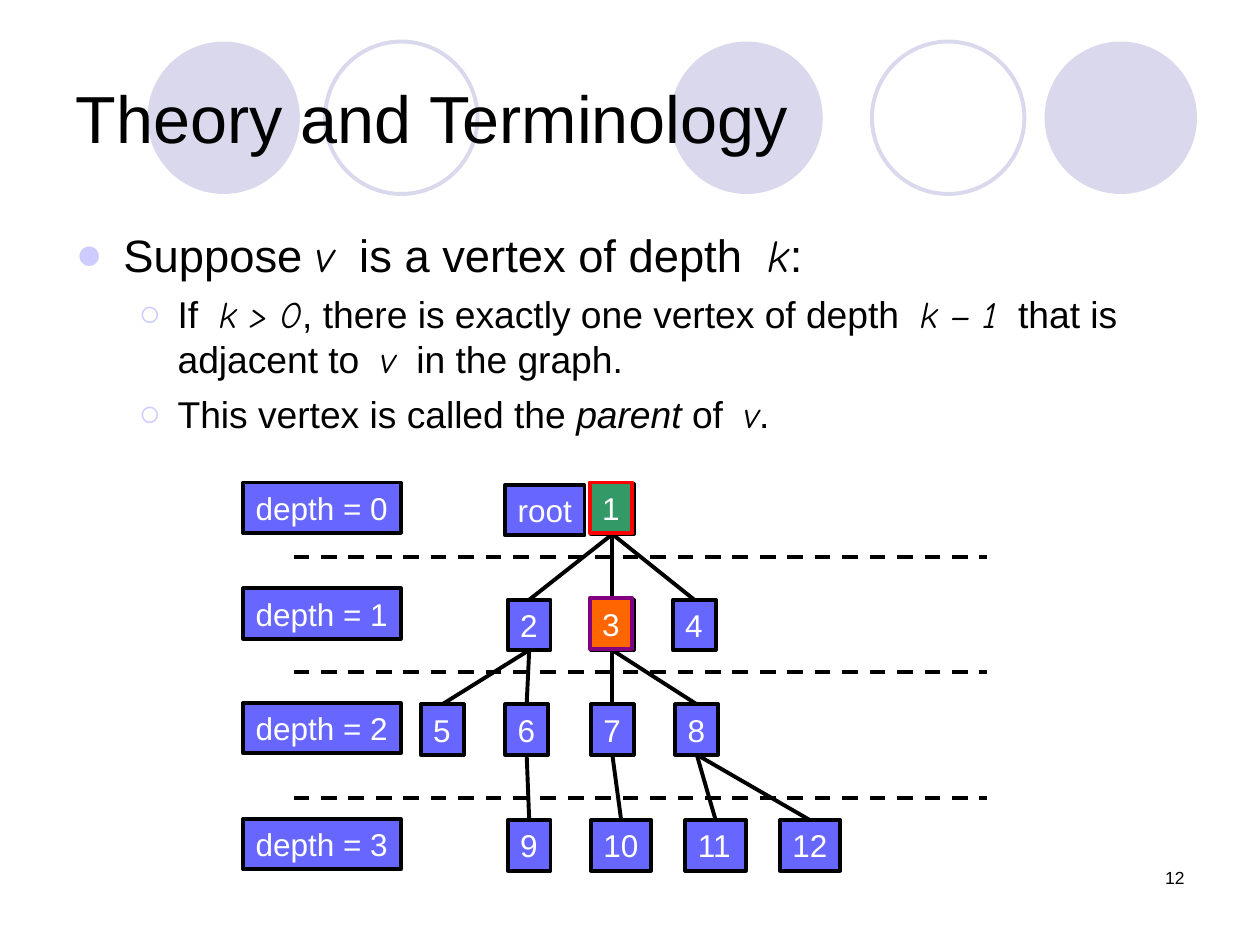
from lxml.etree import SubElement
from pptx import Presentation
from pptx.dml.color import RGBColor
from pptx.enum.dml import MSO_LINE
from pptx.enum.shapes import MSO_CONNECTOR, MSO_SHAPE
from pptx.enum.text import MSO_ANCHOR, MSO_AUTO_SIZE, PP_ALIGN
from pptx.oxml.ns import qn
from pptx.util import Inches, Pt

BLACK, WHITE, LILAC, BLUE = "000000", "FFFFFF", "D9D8EC", "6767FF"
BULLET = "CCCCFF"
BOX_HEIGHT = 0.4
NODE_WIDTHS = {1: 0.34, 2: 0.48}

BODY = [
    (0, [("Suppose ", ""), ("v", "math"), ("  is a vertex of depth  ", ""), ("k", "math"), (":", "")]),
    (1, [("If  ", ""), ("k > 0", "math"), (", there is exactly one vertex of depth  ", ""),
         ("k – 1", "math"), ("  that is adjacent to  ", ""), ("v", "math"), ("  in the graph.", "")]),
    (1, [("This vertex is called the ", ""), ("parent", "italic"), (" of  ", ""), ("v", "math"), (".", "")]),
]
LEVELS = [("●", 25.9, 0.38, 0.38, 0), ("○", 21.3, 0.81, 0.31, 5.8)]

TREE_ROWS = [
    (0.01, {"1": 2.76}),
    (0.93, {"2": 2.10, "3": 2.76, "4": 3.41}),
    (1.76, {"5": 1.41, "6": 2.08, "7": 2.76, "8": 3.43}),
    (2.68, {"9": 2.10, "10": 2.76, "11": 3.51, "12": 4.26}),
]
CHILDREN = {"1": "2 3 4", "2": "5 6", "3": "7 8", "6": "9", "7": "10", "8": "11 12"}
DEPTH_TOPS = [0, 0.84, 1.75, 2.67]
DIVIDER_TOPS = [0.59, 1.5, 2.5]
HIGHLIGHTS = [("3", 0.92, "FF6600", "800080"), ("1", 0, "339966", "FF0000")]


def color(value):
    return RGBColor.from_string(value)


def format_font(font, size, value, name="Arial"):
    font.name = name
    font.size = Pt(size)
    font.color.rgb = color(value)


def add_circles(slide, left, top, size):
    circles = [(4.15, True), (7.12, True), (0, True), (5.75, False), (1.41, False)]
    for offset, filled in circles:
        circle = slide.shapes.add_shape(
            MSO_SHAPE.OVAL, Inches(left + offset), Inches(top), Inches(size), Inches(size))
        circle.shadow.inherit = False
        if filled:
            circle.fill.solid()
            circle.fill.fore_color.rgb = color(LILAC)
            circle.line.fill.background()
        else:
            circle.fill.background()
            circle.line.color.rgb = color(LILAC)
            circle.line.width = Pt(2.25)
        slide.shapes.title._element.addprevious(circle._element)


def place(shape, left, top, width, height):
    shape.left, shape.top = Inches(left), Inches(top)
    shape.width, shape.height = Inches(width), Inches(height)


def fill_title(slide, left, top, width, height):
    title = slide.shapes.title
    place(title, left, top, width, height)
    frame = title.text_frame
    frame.text = "Theory and Terminology"
    frame.auto_size = MSO_AUTO_SIZE.NONE
    frame.vertical_anchor = MSO_ANCHOR.MIDDLE
    frame.paragraphs[0].alignment = PP_ALIGN.LEFT
    format_font(frame.paragraphs[0].runs[0].font, 38, BLACK)


def add_bullet(paragraph, character, margin, hanging):
    properties = paragraph._p.get_or_add_pPr()
    properties.set("marL", str(Inches(margin)))
    properties.set("indent", str(-Inches(hanging)))
    bullet_color = SubElement(properties, qn("a:buClr"))
    SubElement(bullet_color, qn("a:srgbClr"), val=BULLET)
    SubElement(properties, qn("a:buFont"), typeface="Arial")
    SubElement(properties, qn("a:buChar"), char=character)


def fill_body(slide, left, top, width, height):
    body = slide.placeholders[1]
    place(body, left, top, width, height)
    frame = body.text_frame
    frame.auto_size = MSO_AUTO_SIZE.NONE
    for index, (level, pieces) in enumerate(BODY):
        paragraph = frame.paragraphs[0] if index == 0 else frame.add_paragraph()
        character, size, margin, hanging, space = LEVELS[level]
        paragraph.level = level
        add_bullet(paragraph, character, margin, hanging)
        paragraph.space_before = Pt(space)
        for text, style in pieces:
            run = paragraph.add_run()
            run.text = text
            format_font(run.font, size, BLACK, "Comic Neue" if style == "math" else "Arial")
            run.font.italic = bool(style)


def add_box(slide, text, left, top, width, fill=BLUE, line=BLACK):
    box = slide.shapes.add_shape(
        MSO_SHAPE.RECTANGLE, Inches(left), Inches(top), Inches(width), Inches(BOX_HEIGHT))
    box.shadow.inherit = False
    box.fill.solid()
    box.fill.fore_color.rgb = color(fill)
    box.line.color.rgb = color(line)
    box.line.width = Pt(2.25)
    box.text_frame.text = text
    box.text_frame.word_wrap = False
    format_font(box.text_frame.paragraphs[0].runs[0].font, 18, WHITE)
    return box


def add_line(slide, left=0, top=0, length=0):
    line = slide.shapes.add_connector(
        MSO_CONNECTOR.STRAIGHT, Inches(left), Inches(top), Inches(left + length), Inches(top))
    line.line.color.rgb = color(BLACK)
    line.line.width = Pt(2.25)
    SubElement(line._element.spPr, qn("a:effectLst"))
    return line


def add_tree(slide, left, top):
    nodes = {}
    for row_top, row in TREE_ROWS:
        for name, offset in row.items():
            nodes[name] = add_box(slide, name, left + offset, top + row_top, NODE_WIDTHS[len(name)])
    for parent, children in CHILDREN.items():
        for child in children.split():
            edge = add_line(slide)
            edge.begin_connect(nodes[parent], 2)
            edge.end_connect(nodes[child], 0)
    add_box(slide, "root", left + 2.08, top + 0.02, 0.63)
    for divider_top in DIVIDER_TOPS:
        add_line(slide, left + 0.4, top + divider_top, 5.5).line.dash_style = MSO_LINE.DASH
    for depth, depth_top in enumerate(DEPTH_TOPS):
        add_box(slide, f"depth = {depth}", left, top + depth_top, 1.25)
    for name, offset, fill, line in HIGHLIGHTS:
        add_box(slide, name, left + 2.75, top + offset, NODE_WIDTHS[1], fill, line)


def add_page_number(slide, left, top, width, height):
    box = slide.shapes.add_textbox(Inches(left), Inches(top), Inches(width), Inches(height))
    box.text_frame.word_wrap = True
    box.text_frame.text = "12"
    paragraph = box.text_frame.paragraphs[0]
    paragraph.alignment = PP_ALIGN.RIGHT
    format_font(paragraph.runs[0].font, 10, BLACK)


def main():
    presentation = Presentation()
    presentation.slide_width, presentation.slide_height = Inches(10), Inches(7.5)
    slide = presentation.slides.add_slide(presentation.slide_layouts[1])
    add_circles(slide, 1.17, 0.33, 1.21)
    fill_title(slide, 0.5, 0.3, 9, 1.25)
    fill_body(slide, 0.5, 1.75, 9, 1.83)
    add_tree(slide, 1.93, 3.83)
    add_page_number(slide, 7.17, 6.83, 2.33, 0.5)
    presentation.save("out.pptx")


if __name__ == "__main__":
    main()
